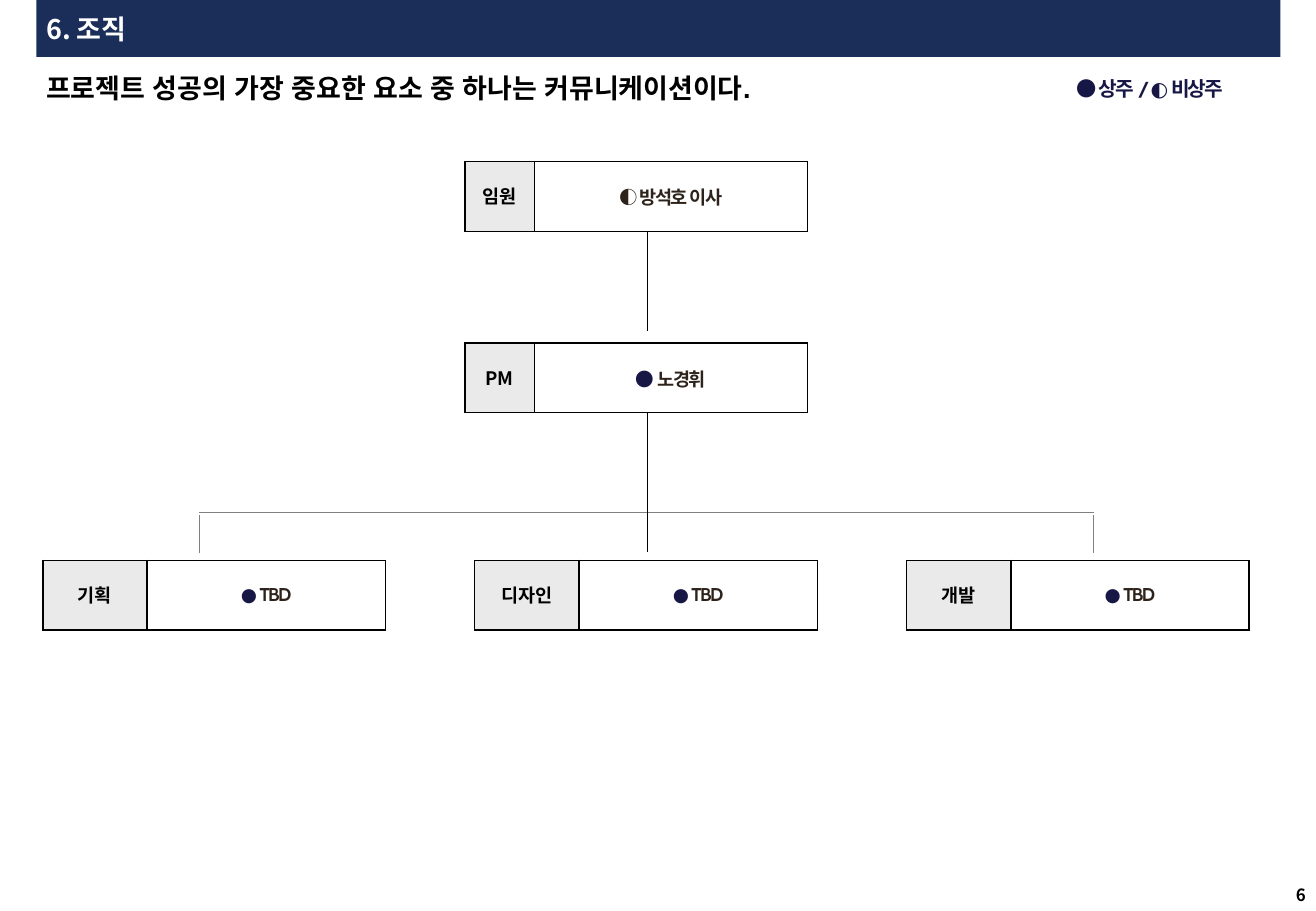
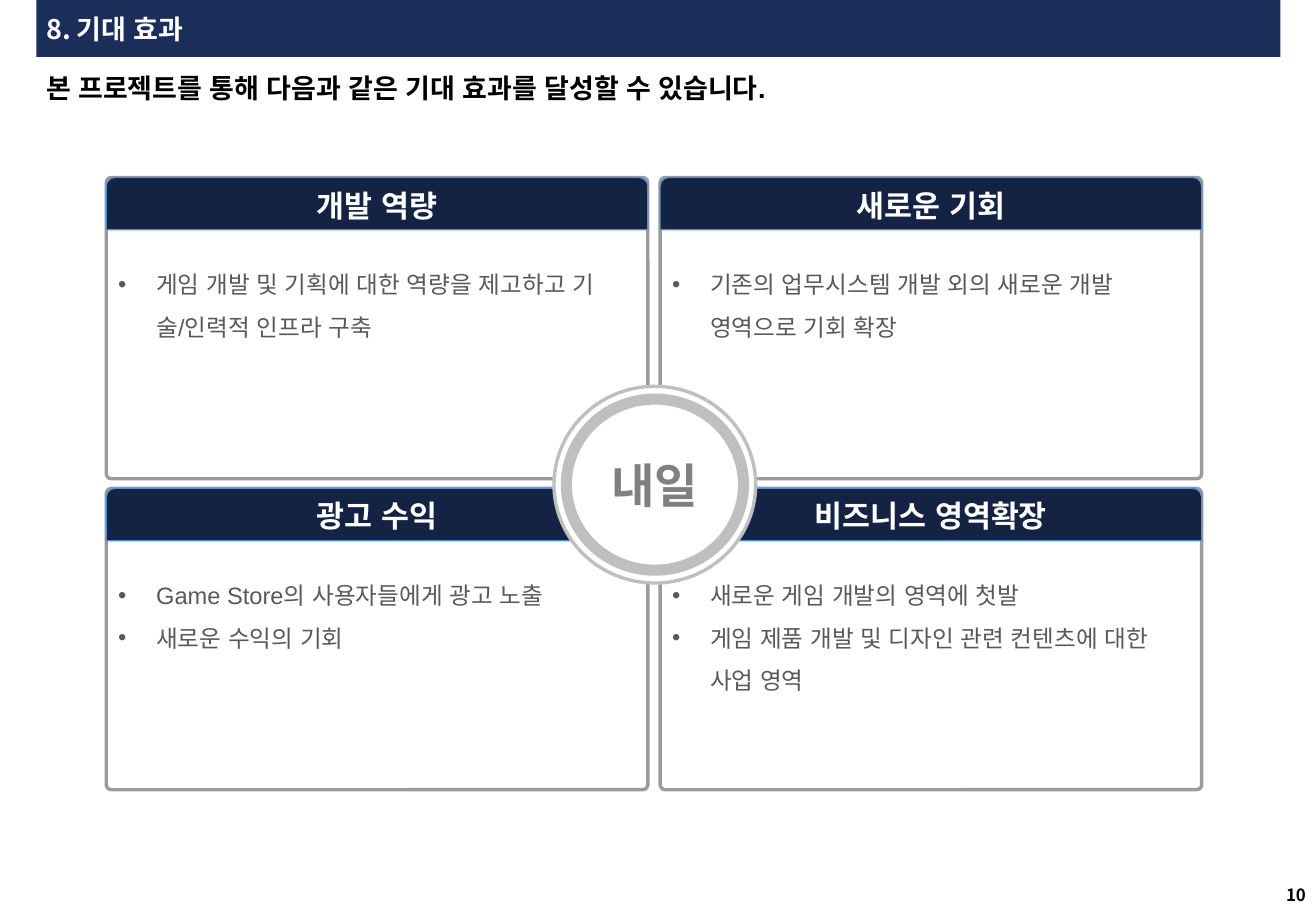
from dataclasses import dataclass

from lxml import etree
from pptx import Presentation
from pptx import util as u
from pptx.dml.color import RGBColor
from pptx.enum import lang, shapes, text
from pptx.oxml import ns

Pt = u.Pt
KIND = shapes.MSO_SHAPE
ALIGN = text.PP_ALIGN
ANCHOR = text.MSO_ANCHOR


@dataclass(frozen=True)
class Theme:
    band: str = "1B2E5A"
    header: str = "142343"
    header_edge: str = "558ED5"
    white: str = "FFFFFF"
    black: str = "000000"
    label: str = "EAEAEA"
    marker: str = "171745"
    name: str = "2E231B"
    branch: str = "808080"
    card_edge: str = "9B9B9B"
    ring: str = "BFBFBF"
    body: str = "595959"
    korean: str = "Noto Sans CJK KR"
    latin: str = "Arial"
    accent: str = "Cabin"
    page_size: float = 10
    cell_size: float = 11
    legend_size: float = 12
    body_size: float = 14
    title_size: float = 16
    header_size: float = 18
    hub_size: float = 28


THEME = Theme()


def rgb(color):
    return RGBColor.from_string(color)


def add_xml(parent, tag, **attributes):
    return etree.SubElement(parent, ns.qn(tag), attributes)


def write(frame, *paras, size, color=THEME.black, font=THEME.korean, bold=True,
          align=ALIGN.LEFT, leading=None, tracking=0, bullet=None):
    """Fill a text frame; a paragraph is a string or a list of (text, colour)."""
    for index, content in enumerate(paras):
        para = frame.add_paragraph() if index else frame.paragraphs[0]
        para.alignment = align
        if leading:
            para.line_spacing = leading
        if bullet:
            props = para._p.get_or_add_pPr()
            props.set("marL", str(Pt(22.5)))
            props.set("indent", str(-Pt(22.5)))
            add_xml(props, "a:buFont", typeface=THEME.latin)
            add_xml(props, "a:buChar", char=bullet)
        spans = [(content, color)] if isinstance(content, str) else content
        for words, ink in spans:
            span = para.add_run()
            span.text = words
            span.font.size = Pt(size)
            span.font.bold = bold
            span.font.name = font
            span.font.color.rgb = rgb(ink)
            span.font.language_id = lang.MSO_LANGUAGE_ID.KOREAN
            props = span._r.get_or_add_rPr()
            add_xml(props, "a:ea", typeface=THEME.korean)
            if tracking:
                props.set("spc", str(tracking * 100))


def set_frame(frame, insets, anchor, wrap):
    frame.word_wrap = wrap
    frame.vertical_anchor = anchor
    frame.margin_left = frame.margin_right = Pt(insets[0])
    frame.margin_top = frame.margin_bottom = Pt(insets[1])


def add_text(page, at, *paras, insets=(7.2, 3.6), anchor=ANCHOR.TOP, wrap=True, **style):
    box = page.shapes.add_textbox(*map(Pt, at))
    set_frame(box.text_frame, insets, anchor, wrap)
    write(box.text_frame, *paras, **style)


def add_shape(page, kind, at, fill, line=None, width=1, adjust=None):
    shape = page.shapes.add_shape(kind, *map(Pt, at))
    shape.shadow.inherit = False
    shape.fill.solid()
    shape.fill.fore_color.rgb = rgb(fill)
    if line:
        shape.line.color.rgb = rgb(line)
        shape.line.width = Pt(width)
    else:
        shape.line.fill.background()
    if adjust is not None:
        shape.adjustments[0] = adjust
    return shape


def add_line(page, start, end, color, width):
    line = page.shapes.add_connector(shapes.MSO_CONNECTOR.STRAIGHT, *map(Pt, start + end))
    line.line.color.rgb = rgb(color)
    line.line.width = Pt(width)
    add_xml(line._element.spPr, "a:effectLst")


def style_cell(cell, fill):
    props = cell._tc.get_or_add_tcPr()
    for side in ("a:lnL", "a:lnR", "a:lnT", "a:lnB"):
        border = add_xml(props, side, w=str(Pt(1)))
        add_xml(add_xml(border, "a:solidFill"), "a:srgbClr", val=THEME.black)
    cell.fill.solid()
    cell.fill.fore_color.rgb = rgb(fill)
    cell.vertical_anchor = ANCHOR.MIDDLE
    cell.margin_left = cell.margin_right = Pt(6.5)
    cell.margin_top = cell.margin_bottom = Pt(3.6)


def add_role(page, left, top, label_width, label, member):
    """Draw one organisation box: a grey role label beside its member."""
    total, height = 203, 41.3
    table = page.shapes.add_table(1, 2, *map(Pt, (left, top, total, height))).table
    table.first_row = table.horz_banding = False
    table.columns[0].width = Pt(label_width)
    table.columns[1].width = Pt(total - label_width)
    role, person = table.cell(0, 0), table.cell(0, 1)
    style_cell(role, THEME.label)
    style_cell(person, THEME.white)
    shared = dict(size=THEME.cell_size, align=ALIGN.CENTER)
    write(role.text_frame, label, leading=0.9, **shared)
    write(person.text_frame, member, font=THEME.accent, tracking=-1, **shared)


def add_page(deck, number, title, title_width, message, message_width):
    page = deck.slides.add_slide(deck.slide_layouts[6])
    left = 21.6
    add_shape(page, KIND.RECTANGLE, (left, 0, 737.3, 33.8), THEME.band)
    add_text(page, (761, 524.2, 13, 12), number, size=THEME.page_size,
             align=ALIGN.RIGHT, insets=(0, 0), wrap=False)
    add_text(page, (left, 4.3, title_width, 25.2), title, size=THEME.title_size,
             color=THEME.white, insets=(5.8, 2.9), anchor=ANCHOR.MIDDLE, wrap=False)
    add_text(page, (left, 39.6, message_width, 25.2), message, size=THEME.title_size,
             font=THEME.latin, insets=(5.8, 2.9))
    return page


def add_organisation(deck):
    page = add_page(deck, "6", "6. 조직", 63.4,
                    "프로젝트 성공의 가장 중요한 요소 중 하나는 커뮤니케이션이다.", 476)
    add_text(page, (630.7, 37.4, 118.8, 25.9), "● 상주 / ◐ 비상주", size=THEME.legend_size,
             color=THEME.marker, font=THEME.accent, leading=1.3, tracking=-1)

    west, centre, east, rail = 118, 384, 648.2, 304
    add_line(page, (west, rail), (east, rail), THEME.branch, 0.5)
    for x in (west, east):
        add_line(page, (x, rail + 1), (x, 327.6), THEME.branch, 0.5)
    for top, bottom in ((244, 327), (103, 196.5)):
        add_line(page, (centre, top), (centre, bottom), THEME.black, 0.75)

    def resident(name):
        return [("● ", THEME.marker), (name, THEME.name)]

    add_role(page, 275.5, 95.8, 41.3, "임원", [("◐ 방석호 이사", THEME.name)])
    add_role(page, 275.5, 203.3, 41.3, "PM", resident("노경휘"))
    for index, team in enumerate(("기획", "디자인", "개발")):
        add_role(page, 25.4 + 256 * index, 332.2, 61.8, team, resident("TBD"))


def add_card(page, left, top, heading, items, body_height):
    width = 321
    add_shape(page, KIND.ROUNDED_RECTANGLE, (left, top, width, 178.6), THEME.white,
              THEME.card_edge, 2, 0.017)
    add_text(page, (left, top + 43, width, body_height), *items, size=THEME.body_size,
             color=THEME.body, font=THEME.latin, bold=False, leading=1.5, bullet="•")
    header = add_shape(page, KIND.ROUND_2_SAME_RECTANGLE, (left, top, width, 31),
                       THEME.header, THEME.header_edge, 0.75)
    set_frame(header.text_frame, (0, 2.9), ANCHOR.MIDDLE, False)
    write(header.text_frame, heading, size=THEME.header_size, color=THEME.white,
          font=THEME.latin, align=ALIGN.CENTER)


def add_benefits(deck):
    page = add_page(deck, "10", "8. 기대 효과", 100.8,
                    "본 프로젝트를 통해 다음과 같은 기대 효과를 달성할 수 있습니다.", 737.3)
    cards = (
        ("개발 역량", ["게임 개발 및 기획에 대한 역량을 제고하고 기술/인력적 인프라 구축"], 58.3),
        ("새로운 기회", ["기존의 업무시스템 개발 외의 새로운 개발 영역으로 기회 확장"], 58.3),
        ("광고 수익", ["Game Store의 사용자들에게 광고 노출", "새로운 수익의 기회"], 54.7),
        ("비즈니스 영역확장", ["새로운 게임 개발의 영역에 첫발",
                       "게임 제품 개발 및 디자인 관련 컨텐츠에 대한 사업 영역"], 80.6),
    )
    for index, card in enumerate(cards):
        row, column = divmod(index, 2)
        add_card(page, 63 + 328.3 * column, 105.2 + 184.3 * row, *card)

    hub = add_shape(page, KIND.OVAL, (328.4, 229, 119.5, 116.6), THEME.white, THEME.ring, 2)
    set_frame(hub.text_frame, (7.2, 3.6), ANCHOR.MIDDLE, True)
    write(hub.text_frame, "내일", size=THEME.hub_size, color=THEME.branch, align=ALIGN.CENTER)
    add_shape(page, KIND.DONUT, (332.4, 233.3, 111.6, 108), THEME.ring, adjust=0.061)


def main():
    deck = Presentation()
    deck.slide_width, deck.slide_height = Pt(780), Pt(540)
    add_organisation(deck)
    add_benefits(deck)
    deck.save("out.pptx")


if __name__ == "__main__":
    main()
